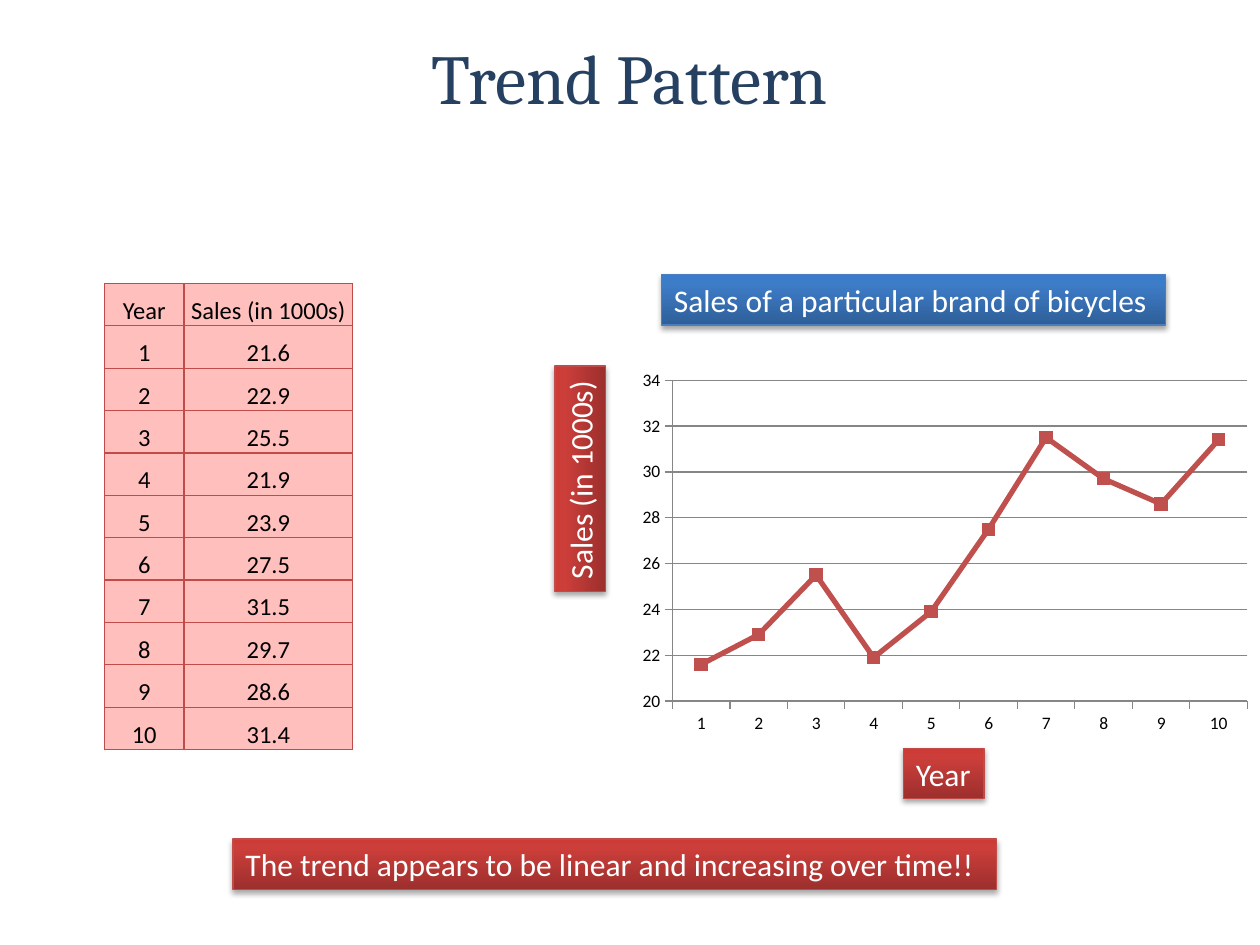
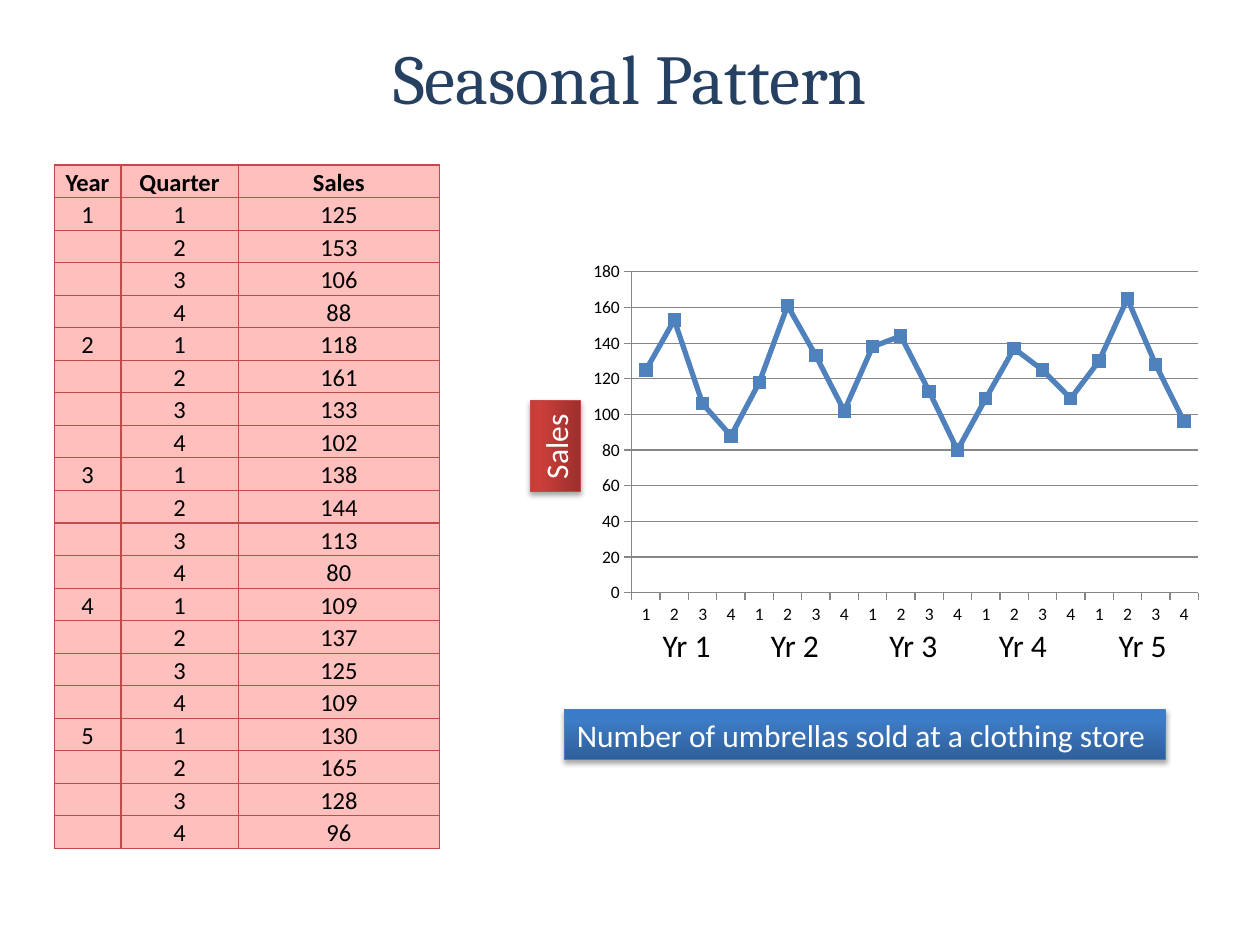
from lxml.etree import SubElement
from pptx import Presentation
from pptx.chart.data import CategoryChartData
from pptx.dml.color import RGBColor
from pptx.enum.chart import XL_CHART_TYPE, XL_MARKER_STYLE, XL_TICK_MARK
from pptx.enum.shapes import MSO_SHAPE
from pptx.enum.text import MSO_ANCHOR, MSO_AUTO_SIZE, PP_ALIGN
from pptx.oxml import parse_xml
from pptx.oxml.ns import nsdecls, qn
from pptx.util import Inches, Pt

NAVY = RGBColor(0x25, 0x40, 0x61)
BLACK = RGBColor(0, 0, 0)
WHITE = RGBColor(0xFF, 0xFF, 0xFF)
GRAY = RGBColor(0x86, 0x86, 0x86)
PINK = RGBColor(0xFF, 0xBF, 0xBD)
RED = RGBColor(0xC0, 0x50, 0x4D)
BLUE = RGBColor(0x4F, 0x81, 0xBD)
RED_EDGE = RGBColor(0xBF, 0x4C, 0x48)
BLUE_EDGE = RGBColor(0x4B, 0x7E, 0xBC)
RED_BAND = (RED_EDGE, ("9C2F2D", "CB3E3A", "CE3B37"))
BLUE_BAND = (BLUE_EDGE, ("2F5F99", "3D7CC7", "3A7CCB"))
BODY_FONT, TITLE_FONT = "Calibri", "Cambria"
LABEL_HEIGHT = 0.4

YEARLY = [21.6, 22.9, 25.5, 21.9, 23.9, 27.5, 31.5, 29.7, 28.6, 31.4]
QUARTERLY = [
    (125, 153, 106, 88),
    (118, 161, 133, 102),
    (138, 144, 113, 80),
    (109, 137, 125, 109),
    (130, 165, 128, 96),
]
YEAR_LEFTS = [5.16, 6.02, 6.96, 7.83, 8.78]

trend_rows = [("Year", "Sales (in 1000s)")]
trend_rows += [(year, sales) for year, sales in enumerate(YEARLY, 1)]
season_rows = [("Year", "Quarter", "Sales")]
season_rows += [
    (year if quarter == 1 else "", quarter, sales)
    for year, quarters in enumerate(QUARTERLY, 1)
    for quarter, sales in enumerate(quarters, 1)
]

SLIDES = [
    dict(
        title="Trend Pattern",
        table=dict(rows=trend_rows, at=(0.83, 2.25), widths=(0.63, 1.34),
                   height=3.7, bold_header=False),
        chart=dict(at=(5, 2.88, 5, 3), color=RED, scale=(20, 34, 2)),
        labels=[
            ("Sales of a particular brand of bicycles", 5.25, 2.18, 4, BLUE_BAND, 0),
            ("Year", 7.17, 5.94, 0.64, RED_BAND, 0),
            ("Sales (in 1000s)", 3.71, 3.6, 1.79, RED_BAND, 270),
            ("The trend appears to be linear and increasing over time!!",
             1.85, 6.66, 6.06, RED_BAND, 0),
        ],
    ),
    dict(
        title="Seasonal Pattern",
        table=dict(rows=season_rows, at=(0.43, 1.31), widths=(0.53, 0.93, 1.6),
                   height=5.43, bold_header=True),
        chart=dict(at=(4.61, 2.02, 5, 3), color=BLUE, scale=(0, 180, 20)),
        labels=[
            (f"Yr {year}", left, 4.92, 0.59, None, 0)
            for year, left in enumerate(YEAR_LEFTS, 1)
        ] + [
            ("Sales", 4.05, 3.34, 0.72, RED_BAND, 270),
            ("Number of umbrellas sold at a clothing store",
             4.48, 5.63, 4.77, BLUE_BAND, 0),
        ],
    ),
]


def add_run(p, text, size, color, font=BODY_FONT, bold=False):
    r = p.add_run()
    r.text = text
    r.font.size = Pt(size)
    r.font.name = font
    r.font.bold = bold
    r.font.color.rgb = color


def add_title(s, text):
    tf = s.shapes.add_textbox(Inches(0.5), Inches(0.3), Inches(9), Inches(0.61)).text_frame
    tf.word_wrap = True
    tf.vertical_anchor = MSO_ANCHOR.MIDDLE
    p = tf.paragraphs[0]
    p.alignment = PP_ALIGN.CENTER
    add_run(p, text, 40, NAVY, TITLE_FONT)


def style_band(sp, band):
    edge, stops = band
    sp.line.color.rgb = edge
    sp.line.width = Pt(0.75)
    stops_xml = "".join(
        f'<a:gs pos="{pos}"><a:srgbClr val="{color}"/></a:gs>'
        for pos, color in zip((0, 80000, 100000), stops))
    sp_pr = sp._element.spPr
    sp_pr.find(qn("a:ln")).addprevious(parse_xml(
        f'<a:gradFill {nsdecls("a")} rotWithShape="1"><a:gsLst>{stops_xml}</a:gsLst>'
        '<a:lin ang="16200000" scaled="0"/></a:gradFill>'))
    sp_pr.append(parse_xml(
        f'<a:effectLst {nsdecls("a")}><a:outerShdw blurRad="{Pt(3.1)}" dist="{Pt(1.8)}" '
        'dir="5400000" rotWithShape="0"><a:srgbClr val="000000"><a:alpha val="35000"/>'
        '</a:srgbClr></a:outerShdw></a:effectLst>'))


def add_label(s, text, left, top, width, band, rotation):
    sp = s.shapes.add_shape(MSO_SHAPE.RECTANGLE, Inches(left), Inches(top),
                            Inches(width), Inches(LABEL_HEIGHT))
    sp.rotation = rotation
    if band:
        style_band(sp, band)
    else:
        sp.shadow.inherit = False
        sp.fill.solid()
        sp.fill.fore_color.rgb = WHITE
        sp.line.fill.background()
    tf = sp.text_frame
    tf.word_wrap = False
    tf.auto_size = MSO_AUTO_SIZE.SHAPE_TO_FIT_TEXT
    tf.vertical_anchor = MSO_ANCHOR.TOP
    p = tf.paragraphs[0]
    p.alignment = PP_ALIGN.LEFT
    add_run(p, text, 18, WHITE if band else BLACK)


def style_cell(cell):
    cell.margin_left = cell.margin_right = cell.margin_top = cell.margin_bottom = 0
    cell.vertical_anchor = MSO_ANCHOR.BOTTOM
    cell.fill.solid()
    cell.fill.fore_color.rgb = PINK
    tc_pr = cell._tc.get_or_add_tcPr()
    for i, side in enumerate(("lnL", "lnR", "lnT", "lnB")):
        tc_pr.insert(i, parse_xml(
            f'<a:{side} {nsdecls("a")} w="{Pt(0.75)}"><a:solidFill>'
            f'<a:srgbClr val="{RED_EDGE}"/></a:solidFill></a:{side}>'))


def add_data_table(s, rows, at, widths, height, bold_header):
    left, top = at
    table = s.shapes.add_table(len(rows), len(widths), Inches(left), Inches(top),
                               Inches(sum(widths)), Inches(height)).table
    table.first_row = table.horz_banding = False
    for column, width in zip(table.columns, widths):
        column.width = Inches(width)
    for i, row in enumerate(rows):
        table.rows[i].height = Inches(height / len(rows))
        for j, value in enumerate(row):
            cell = table.cell(i, j)
            style_cell(cell)
            p = cell.text_frame.paragraphs[0]
            p.alignment = PP_ALIGN.CENTER
            if value == "":
                SubElement(p._p, qn("a:endParaRPr"), sz="1400")
            else:
                add_run(p, str(value), 14, BLACK, bold=bold_header and i == 0)


def add_line_chart(s, categories, values, at, color, scale):
    data = CategoryChartData()
    data.categories = [str(c) for c in categories]
    data.add_series("Series 1", values)
    chart = s.shapes.add_chart(XL_CHART_TYPE.LINE_MARKERS_STACKED,
                               *map(Inches, at), data).chart
    chart.has_legend = chart.has_title = False
    chart.font.size = Pt(10)
    chart.font.name = BODY_FONT
    chart.font.color.rgb = BLACK
    plot = chart.plots[0]
    plot.vary_by_categories = False
    series = plot.series[0]
    series.smooth = False
    series.format.line.color.rgb = color
    series.format.line.width = Pt(3)
    series.marker.style = XL_MARKER_STYLE.SQUARE
    series.marker.size = 7
    series.marker.format.fill.solid()
    series.marker.format.fill.fore_color.rgb = color
    series.marker.format.line.color.rgb = color
    for axis in (chart.category_axis, chart.value_axis):
        axis.major_tick_mark = XL_TICK_MARK.OUTSIDE
        axis.minor_tick_mark = XL_TICK_MARK.NONE
        axis.format.line.color.rgb = GRAY
        axis.format.line.width = Pt(0.75)
    axis = chart.value_axis
    axis.minimum_scale, axis.maximum_scale, axis.major_unit = scale
    axis.has_major_gridlines = True
    axis.major_gridlines.format.line.color.rgb = GRAY
    axis.major_gridlines.format.line.width = Pt(0.75)


prs = Presentation()
prs.slide_width, prs.slide_height = Inches(10), Inches(7.5)
for content in SLIDES:
    s = prs.slides.add_slide(prs.slide_layouts[6])
    add_title(s, content["title"])
    records = content["table"]["rows"][1:]
    add_line_chart(s, [row[-2] for row in records], [row[-1] for row in records],
                   **content["chart"])
    add_data_table(s, **content["table"])
    for label in content["labels"]:
        add_label(s, *label)
prs.save("out.pptx")
